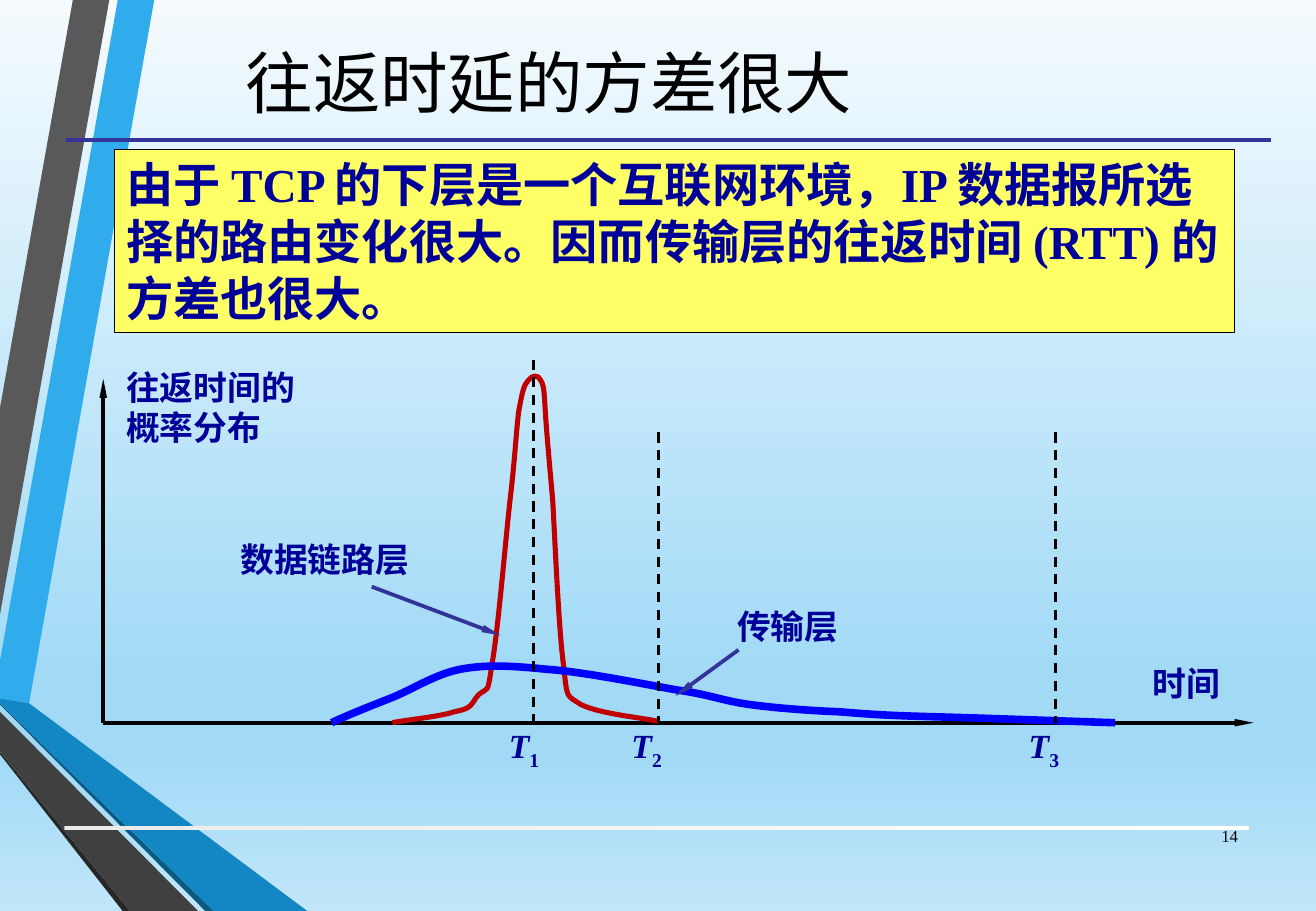
"""Build the slide on the variance of round-trip time."""
from lxml import etree
from pptx import Presentation
from pptx.dml.color import RGBColor
from pptx.enum.dml import MSO_LINE
from pptx.enum.lang import MSO_LANGUAGE_ID
from pptx.enum.shapes import MSO_CONNECTOR, MSO_SHAPE
from pptx.enum.text import MSO_ANCHOR, PP_ALIGN
from pptx.oxml.ns import qn
from pptx.util import Pt

PX = 9144
FONT = "Times New Roman"
DASH = MSO_LINE.DASH
STRAIGHT = MSO_CONNECTOR.STRAIGHT
RECT = MSO_SHAPE.RECTANGLE
LEFT, MID, RIGHT = PP_ALIGN.LEFT, PP_ALIGN.CENTER, PP_ALIGN.RIGHT
TOP, CENTER = MSO_ANCHOR.TOP, MSO_ANCHOR.MIDDLE
CHINESE = MSO_LANGUAGE_ID.SIMPLIFIED_CHINESE

HUES = {
    "black": "000000", "navy": "000099", "rule": "333399", "red": "C00000",
    "blue": "0000FF", "yellow": "FFFF66", "sky": "30ACEC", "gray": "595959",
    "coal": "262626", "teal": "0C5A82", "azure": "1287C3", "dark": "404040",
}
SKY = [(0, "F5FBFE"), (74, "A2DAF6"), (83, "A2DAF6"), (100, "C1E6F9")]
SHEEN = [(0, "EBEBEB"), (100, "FFFFFF")]

TITLE = "往返时延的方差很大"
NOTE = ("由于 TCP 的下层是一个互联网环境，IP 数据报所选择的路由变化很大。"
        "因而传输层的往返时间 (RTT) 的方差也很大。")
PAGE = "14"

BANDS = [
    ("sky", [(0, 544), (0, 575), (24, 579), (127, 0), (97, 0)]),
    ("gray", [(90, 0), (60, 0), (0, 336), (0, 506)]),
    ("coal", [(0, 619), (0, 621), (101, 750), (107, 750)]),
    ("teal", [(0, 579), (0, 580), (169, 750), (176, 750)]),
    ("azure", [(0, 579), (176, 750), (253, 750), (24, 579), (0, 575)]),
    ("dark", [(0, 619), (107, 750), (163, 750), (0, 586)]),
]
BASE = 595
AXES = [((85, BASE), (1032, BASE)), ((85, BASE), (85, 312))]
LINK = [
    (323, 595), (332, 593), (363, 590), (374, 586), (390, 583), (387, 580),
    (394, 572), (402, 565), (401, 574), (405, 547), (410, 520), (416, 446),
    (420, 411), (424, 377), (425, 355), (427, 339), (430, 323), (431, 317),
    (435, 313), (438, 309), (443, 308), (445, 313), (448, 317), (448, 324),
    (449, 340), (450, 356), (452, 378), (455, 412), (457, 447), (460, 520),
    (464, 548), (467, 576), (466, 572), (478, 580), (494, 588), (530, 591),
    (542, 594),
]
TRANS = [
    (273, 595), (281, 591), (303, 582), (321, 575), (339, 568), (358, 555),
    (379, 551), (400, 547), (420, 548), (450, 551), (480, 553), (529, 563),
    (557, 568), (585, 572), (595, 577), (617, 580), (639, 583), (666, 585),
    (691, 586), (715, 588), (729, 589), (766, 590), (804, 591), (886, 594),
    (918, 595),
]
TIMES = [("1", 439, 296, 409), ("2", 542, 356, 510), ("3", 869, 356, 837)]
LABELS = [
    ("时间", (939, 541, 76, 44)),
    ("数据链路层", (188, 439, 160, 44)),
    ("传输层", (597, 494, 105, 44)),
    ("往返时间的\n概率分布", (94, 297, 160, 77)),
]
CALLS = [((306, 483), (412, 523)), ((608, 535), (556, 573))]


def tint(name):
    return RGBColor.from_string(HUES[name])


def emu(vals):
    return [round(v * PX) for v in vals]


def write(frame, text, size=20, hue="navy", bold=True, slant=False,
          sub="", align=LEFT, anchor=TOP, wrap=False):
    frame.word_wrap = wrap
    frame.vertical_anchor = anchor
    for i, line in enumerate(text.split("\n")):
        para = frame.add_paragraph() if i else frame.paragraphs[0]
        para.alignment = align
        for part in filter(None, (line, sub)):
            run = para.add_run()
            run.text = part
            font = run.font
            font.name, font.size, font.bold = FONT, Pt(size), bold
            font.italic = slant and part != sub
            font.color.rgb = tint(hue)
            font.language_id = CHINESE
            if part == sub:
                run._r.get_or_add_rPr().set("baseline", "-25000")


def label(slide, text, box, **form):
    write(slide.shapes.add_textbox(*emu(box)).text_frame, text, **form)


def grade(fill, root, stops, angle):
    fill.gradient()
    fill.gradient_angle = angle
    group = root.find(".//" + qn("a:gsLst"))
    for old in list(group):
        group.remove(old)
    for pos, code in stops:
        stop = etree.SubElement(group, qn("a:gs"), pos=str(pos * 1000))
        etree.SubElement(stop, qn("a:srgbClr"), val=code)


def rule(slide, ends, hue="black", width=2.25, dash=None, arrow=False):
    start, end = ends
    link = slide.shapes.add_connector(STRAIGHT, *emu(start + end))
    link.line.color.rgb = tint(hue)
    link.line.width = Pt(width)
    if dash:
        link.line.dash_style = dash
    if arrow:
        etree.SubElement(link.line._get_or_add_ln(), qn("a:tailEnd"),
                         type="triangle", w="sm", len="lg")
    etree.SubElement(link.element.spPr, qn("a:effectLst"))


def trace(slide, points, close):
    pen = slide.shapes.build_freeform(*points[0], scale=PX)
    pen.add_line_segments(points[1:], close=close)
    shape = pen.convert_to_shape()
    shape.shadow.inherit = False
    return shape


def curve(slide, knots, hue, width):
    shape = trace(slide, knots, False)
    lines = list(shape.element.iter(qn("a:lnTo")))
    for i in range(0, len(lines), 3):
        bend = etree.SubElement(lines[i].getparent(), qn("a:cubicBezTo"))
        for line in lines[i:i + 3]:
            bend.append(line[0])
            line.getparent().remove(line)
    shape.fill.background()
    shape.line.color.rgb = tint(hue)
    shape.line.width = Pt(width)


def block(slide, box):
    shape = slide.shapes.add_shape(RECT, *emu(box))
    shape.shadow.inherit = False
    return shape


def main():
    deck = Presentation()
    deck.slide_width, deck.slide_height = emu((1083.33, 750))
    slide = deck.slides.add_slide(deck.slide_layouts[5])
    grade(slide.background.fill, slide.element, SKY, 270)

    for hue, points in BANDS:
        band = trace(slide, points, True)
        band.fill.solid()
        band.fill.fore_color.rgb = tint(hue)
        band.line.fill.background()
    bar = block(slide, (53, 680, 975, 3))
    grade(bar.fill, bar.element, SHEEN, 0)
    bar.line.fill.background()
    rule(slide, ((54, 115), (1046, 115)), hue="rule")

    title = slide.shapes.title
    title.left, title.top, title.width, title.height = emu((43, 5, 818, 124))
    write(title.text_frame, TITLE, size=40, hue="black", bold=False,
          align=MID, anchor=CENTER, wrap=True)

    for ends in AXES:
        rule(slide, ends, arrow=True)
    curve(slide, LINK, "red", 3)
    curve(slide, TRANS, "blue", 4.5)
    for num, x, top, left in TIMES:
        rule(slide, ((x, top), (x, BASE)), width=1.5, dash=DASH)
        label(slide, "T", (left, 592, 48, 44), slant=True, sub=num)
    for text, box in LABELS:
        label(slide, text, box)
    for ends in CALLS:
        rule(slide, ends, hue="rule", arrow=True)

    note = block(slide, (94, 123, 922, 151))
    note.fill.solid()
    note.fill.fore_color.rgb = tint("yellow")
    note.line.color.rgb = tint("black")
    note.line.width = Pt(0.75)
    write(note.text_frame, NOTE, size=28, wrap=True)
    label(slide, PAGE, (978, 668, 51, 40), size=10, hue="black", bold=False,
          align=RIGHT, anchor=CENTER, wrap=True)
    deck.save("out.pptx")


if __name__ == "__main__":
    main()
